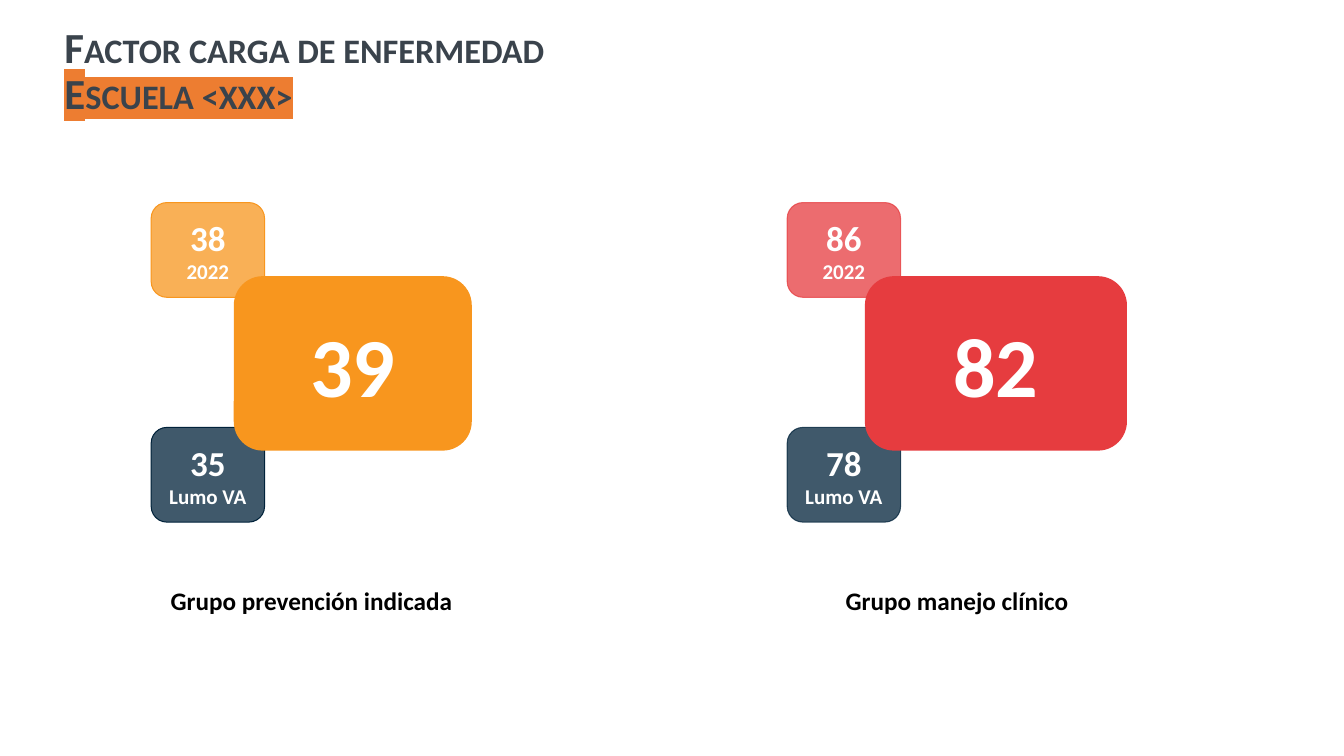
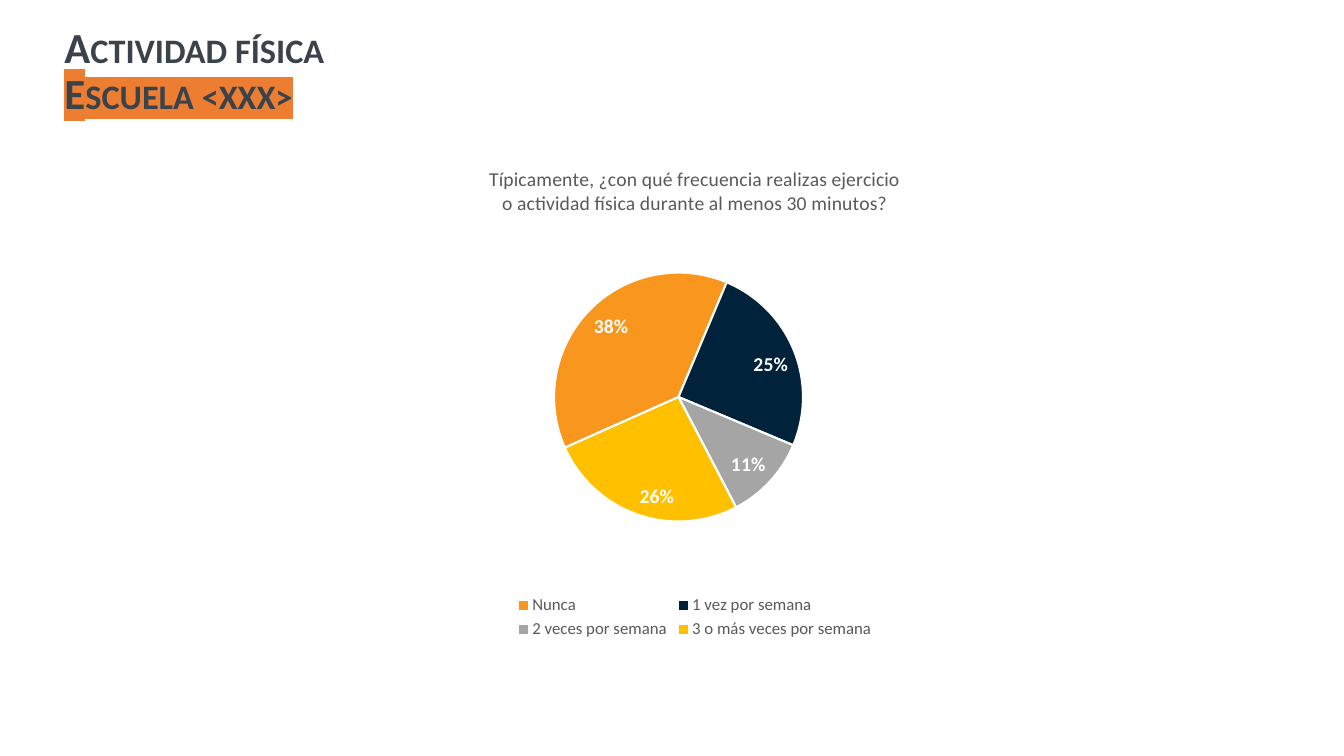
from lxml.etree import SubElement
from pptx import Presentation
from pptx.chart.data import CategoryChartData
from pptx.dml.color import RGBColor
from pptx.enum.chart import XL_CHART_TYPE, XL_LABEL_POSITION, XL_LEGEND_POSITION
from pptx.enum.shapes import MSO_SHAPE
from pptx.enum.text import MSO_ANCHOR, PP_ALIGN
from pptx.oxml import parse_xml
from pptx.oxml.ns import nsdecls, qn
from pptx.util import Pt

ORANGE, RED, NAVY = "F8961E", "E63C3F", "00223A"
GRAY, YELLOW, WHITE, BLACK = "A5A5A5", "FFC000", "FFFFFF", "000000"
SLATE, HIGHLIGHT, CHART_TEXT = "3A434C", "ED7D31", "595959"


def color(hex_code):
    return RGBColor.from_string(hex_code)


def style(font, size, fill, bold=False):
    font.name, font.size, font.bold = "Calibri", Pt(size), bold
    font.color.rgb = color(fill)


def write(paragraph, text, size=18, fill=BLACK, bold=True, small_caps=False, highlight=None):
    run = paragraph.add_run()
    run.text = text
    style(run.font, size, fill, bold)
    properties = run.font._element
    if small_caps:
        properties.set("cap", "small")
    if highlight:
        marker = parse_xml(f'<a:highlight {nsdecls("a")}><a:srgbClr val="{highlight}"/></a:highlight>')
        properties.find(qn("a:solidFill")).addnext(marker)


def set_opacity(parent, percent):
    swatch = parent.find(f'{qn("a:solidFill")}/{qn("a:srgbClr")}')
    SubElement(swatch, qn("a:alpha"), val=str(percent * 1000))


class Deck:
    """Holds the shared style and the current slide, and draws each kind of element."""

    def __init__(self):
        self.file = Presentation()
        self.file.slide_width, self.file.slide_height = Pt(960), Pt(540)
        self.slide = None

    def new_slide(self, topic):
        self.slide = self.file.slides.add_slide(self.file.slide_layouts[6])
        heading = self.text_box(39, 18, 916.5, 67.5, MSO_ANCHOR.MIDDLE)
        heading.line_spacing = 0.9
        look = dict(size=30.6, fill=SLATE, small_caps=True)
        write(heading, topic, **look)
        heading.add_line_break()
        write(heading, "Escuela <xxx>", highlight=HIGHLIGHT, **look)

    def text_box(self, left, top, width, height, anchor=MSO_ANCHOR.TOP):
        frame = self.slide.shapes.add_textbox(Pt(left), Pt(top), Pt(width), Pt(height)).text_frame
        frame.word_wrap = True
        frame.vertical_anchor = anchor
        return frame.paragraphs[0]

    def caption(self, text, left, top, width):
        paragraph = self.text_box(left, top, width, 29)
        paragraph.alignment = PP_ALIGN.CENTER
        write(paragraph, text)

    def card(self, left, top, width, height, fill, lines, border=None, opacity=100, border_opacity=100):
        card = self.slide.shapes.add_shape(
            MSO_SHAPE.ROUNDED_RECTANGLE, Pt(left), Pt(top), Pt(width), Pt(height))
        card.shadow.inherit = False
        card.fill.solid()
        card.fill.fore_color.rgb = color(fill)
        if opacity < 100:
            set_opacity(card._element.spPr, opacity)
        if border:
            card.line.color.rgb = color(border)
            card.line.width = Pt(0.75)
            if border_opacity < 100:
                set_opacity(card.line._ln, border_opacity)
        else:
            card.line.fill.background()
        frame = card.text_frame
        frame.word_wrap = True
        frame.vertical_anchor = MSO_ANCHOR.MIDDLE
        for index, (text, size) in enumerate(lines):
            paragraph = frame.add_paragraph() if index else frame.paragraphs[0]
            paragraph.alignment = PP_ALIGN.CENTER
            write(paragraph, text, size=size, fill=WHITE)

    def score_group(self, name, left, width, main_width, accent, scores, border_opacity):
        previous, current, institution = scores
        self.caption(name, left, 414.7, width)
        for top, fill, score, label in ((144.7, accent, previous, "2022"),
                                        (305.3, NAVY, institution, "Lumo VA")):
            self.card(left, top, 81, 67.7, fill, [(score, 25), (label, 15)],
                      border=fill, opacity=75, border_opacity=border_opacity)
        self.card(left + width - main_width, 197.3, main_width, 124.6, accent, [(current, 60)])

    def pie(self, question, answers, left, top, width, height):
        data = CategoryChartData(number_format="0%")
        data.categories = [answer for answer, _, _ in answers]
        data.add_series("Frecuencia", [share for _, share, _ in answers])
        chart = self.slide.shapes.add_chart(
            XL_CHART_TYPE.PIE, Pt(left), Pt(top), Pt(width), Pt(height), data).chart
        style(chart.font, 12, CHART_TEXT)

        chart.has_title = True
        heading = chart.chart_title.text_frame.paragraphs[0]
        write(heading, question, size=14, fill=CHART_TEXT, bold=False)

        chart.has_legend = True
        chart.legend.position = XL_LEGEND_POSITION.BOTTOM
        chart.legend.include_in_layout = False
        style(chart.legend.font, 12, CHART_TEXT)

        plot = chart.plots[0]
        plot.vary_by_categories = True
        frequency = plot.series[0]
        for index, (_, _, fill) in enumerate(answers):
            slice_format = frequency.points[index].format
            slice_format.fill.solid()
            slice_format.fill.fore_color.rgb = color(fill)
            slice_format.line.color.rgb = color(WHITE)
            slice_format.line.width = Pt(1.5)

        labels = frequency.data_labels
        labels.show_value = True
        labels.number_format, labels.number_format_is_linked = "0%", False
        labels.position = XL_LABEL_POSITION.INSIDE_END
        style(labels.font, 14, WHITE, bold=True)
        self.place_pie(chart, start=246, x=0.24, y=0.22, w=0.46, h=0.57)

    def place_pie(self, chart, start, **box):
        area = chart._chartSpace.chart.plotArea
        for layout in area.findall(qn("c:layout")):
            area.remove(layout)
        settings = [("layoutTarget", "inner"), ("xMode", "edge"), ("yMode", "edge"), *box.items()]
        values = "".join(f'<c:{tag} val="{value}"/>' for tag, value in settings)
        area.insert(0, parse_xml(
            f'<c:layout {nsdecls("c")}><c:manualLayout>{values}</c:manualLayout></c:layout>'))
        pie = area.find(qn("c:pieChart"))
        for angle in pie.findall(qn("c:firstSliceAng")):
            pie.remove(angle)
        SubElement(pie, qn("c:firstSliceAng"), val=str(start))


def main():
    deck = Deck()
    deck.new_slide("Factor carga de enfermedad")
    deck.score_group("Grupo prevención indicada", 108, 229, 170, ORANGE, ("38", "39", "35"), 100)
    deck.score_group("Grupo manejo clínico", 562.3, 242.7, 187.2, RED, ("86", "82", "78"), 75)

    deck.new_slide("Actividad física")
    deck.pie(
        "Típicamente, ¿con qué frecuencia realizas ejercicio o actividad física durante al menos 30 minutos?",
        [("Nunca", 0.38, ORANGE),
         ("1 vez por semana", 0.25, NAVY),
         ("2 veces por semana", 0.11, GRAY),
         ("3 o más veces por semana", 0.26, YELLOW)],
        303, 104.4, 386.6, 355)
    deck.file.save("out.pptx")


if __name__ == "__main__":
    main()
